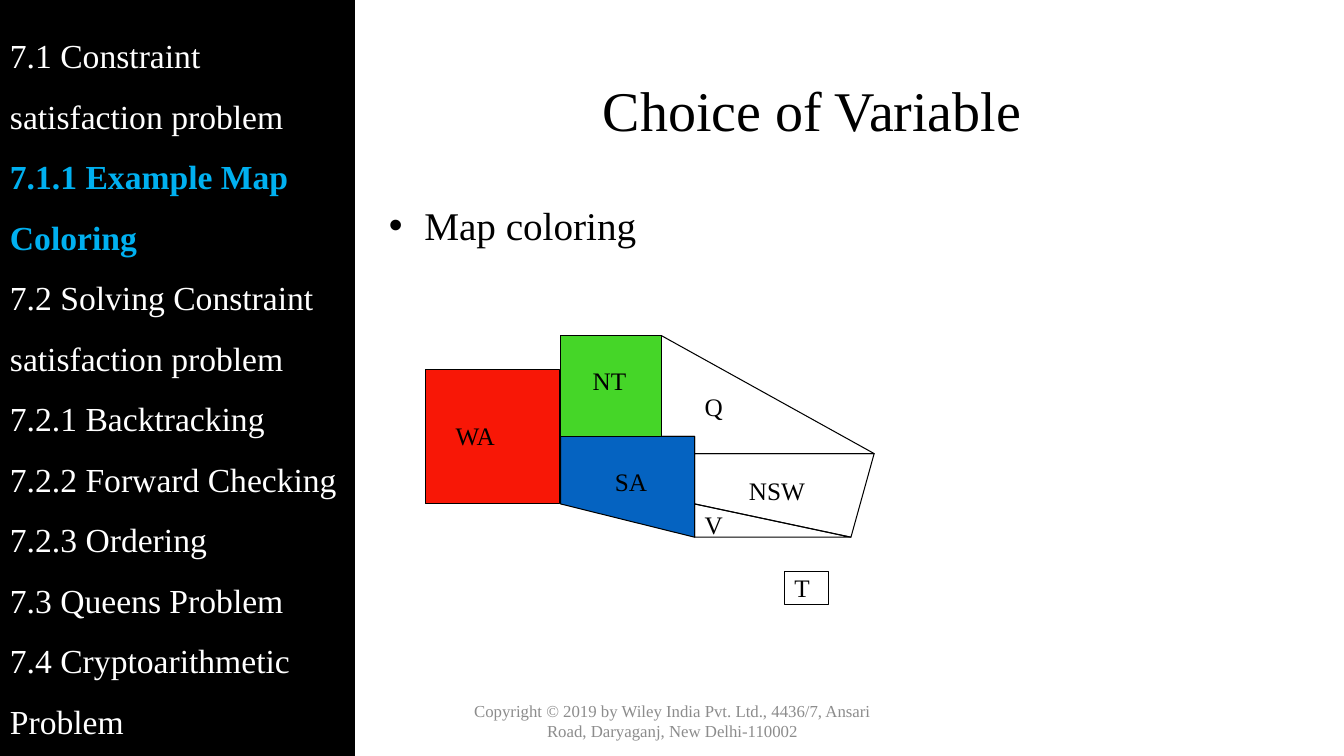
from lxml import etree
from pptx import Presentation
from pptx.dml.color import RGBColor
from pptx.enum.shapes import MSO_SHAPE as Preset
from pptx.enum.text import MSO_ANCHOR as Anchor, PP_ALIGN as Align
from pptx.oxml.ns import qn
from pptx.util import Inches, Pt

BLACK = "000000"


def paint(area, fill):
    """Give a shape its fill, or none, and the thin black outline."""
    area.shadow.inherit = False
    if fill:
        area.fill.solid()
        area.fill.fore_color.rgb = RGBColor.from_string(fill)
    else:
        area.fill.background()
    area.line.color.rgb = RGBColor.from_string(BLACK)
    area.line.width = Pt(0.75)


def write(para, text, size, color=BLACK, bold=False):
    span = para.add_run()
    span.text = text
    span.font.name = "Times New Roman"
    span.font.size = Pt(size)
    span.font.bold = bold
    span.font.color.rgb = RGBColor.from_string(color)


deck = Presentation()
deck.slide_width, deck.slide_height = Inches(13.33), Inches(7.5)
page = deck.slides.add_slide(deck.slide_layouts[6])

# Title, bullet and footer: place, text, size, colour, anchor, alignment, spacing
texts = [
    ((3.69, 0.4, 8.73, 1.45), "Choice of Variable", 40, BLACK, Anchor.MIDDLE, Align.CENTER, 0.9),
    ((3.76, 2, 8.66, 4.76), "Map coloring", 28, BLACK, Anchor.TOP, Align.LEFT, 0.9),
    ((4.42, 6.95, 4.5, 0.4),
     "Copyright © 2019 by Wiley India Pvt. Ltd., 4436/7, Ansari Road, Daryaganj, New Delhi-110002",
     12, "8C8C8C", Anchor.MIDDLE, Align.CENTER, 1.0),
]
for place, text, size, color, anchor, align, spacing in texts:
    box = page.shapes.add_textbox(*map(Inches, place))
    box.text_frame.word_wrap = True
    box.text_frame.vertical_anchor = anchor
    para = box.text_frame.paragraphs[0]
    para.alignment = align
    para.line_spacing = spacing
    if text == "Map coloring":
        props = para._p.get_or_add_pPr()
        props.set("marL", str(Inches(0.35)))
        props.set("indent", str(Inches(-0.35)))
        etree.SubElement(props, qn("a:buFont")).set("typeface", "Arial")
        etree.SubElement(props, qn("a:buChar")).set("char", "•")
    write(para, text, size, color)

# Map regions with slanted or stepped borders: corners and fill
outlines = [
    ([(6.56, 3.33), (8.67, 4.5), (6.89, 4.5), (6.89, 4.33), (6.56, 4.33)], None),
    ([(6.89, 4.5), (6.89, 5), (8.44, 5.33), (8.67, 4.5)], None),
    ([(6.89, 5), (6.89, 5.33), (8.44, 5.33)], None),
    ([(5.56, 4.33), (6.89, 4.33), (6.89, 5.33), (5.56, 5)], "0563C1"),
]
for corners, fill in outlines:
    start, *others = [(Inches(x), Inches(y)) for x, y in corners]
    border = page.shapes.build_freeform(*start)
    border.add_line_segments(others, close=True)
    paint(border.convert_to_shape(), fill)

# Rectangular map regions
rectangles = [
    ((4.22, 3.67, 1.33, 1.33), "F81706"),
    ((5.56, 3.33, 1, 1), "45D628"),
    ((7.78, 5.67, 0.44, 0.33), None),
]
for place, fill in rectangles:
    paint(page.shapes.add_shape(Preset.RECTANGLE, *map(Inches, place)), fill)

# Region names: left, top, width
names = {
    "WA": (4.42, 4.12, 0.59),
    "NT": (5.78, 3.58, 0.54),
    "SA": (6, 4.58, 0.53),
    "Q": (6.89, 3.83, 0.38),
    "NSW": (7.33, 4.67, 0.76),
    "V": (6.89, 5, 0.38),
    "T": (7.78, 5.63, 0.36),
}
for name, place in names.items():
    label = page.shapes.add_textbox(*map(Inches, place), Inches(0.4))
    label.text_frame.word_wrap = False
    write(label.text_frame.paragraphs[0], name, 18)

# Chapter contents, with the current section highlighted
sections = [
    "7.1 Constraint satisfaction problem",
    "7.1.1 Example Map Coloring",
    "7.2 Solving Constraint satisfaction problem",
    "7.2.1 Backtracking",
    "7.2.2 Forward Checking",
    "7.2.3 Ordering",
    "7.3 Queens Problem",
    "7.4 Cryptoarithmetic Problem",
]
current = "7.1.1 Example Map Coloring"
sidebar = page.shapes.add_shape(Preset.RECTANGLE, 0, 0, Inches(3.52), Inches(7.5))
paint(sidebar, BLACK)
sidebar.line.fill.background()
contents = sidebar.text_frame
contents.word_wrap = True
contents.vertical_anchor = Anchor.MIDDLE
for index, section in enumerate(sections):
    para = contents.add_paragraph() if index else contents.paragraphs[0]
    para.alignment = Align.LEFT
    para.line_spacing = 1.5
    active = section == current
    write(para, section, 24, "00B0F0" if active else "FFFFFF", active)

deck.save("out.pptx")
